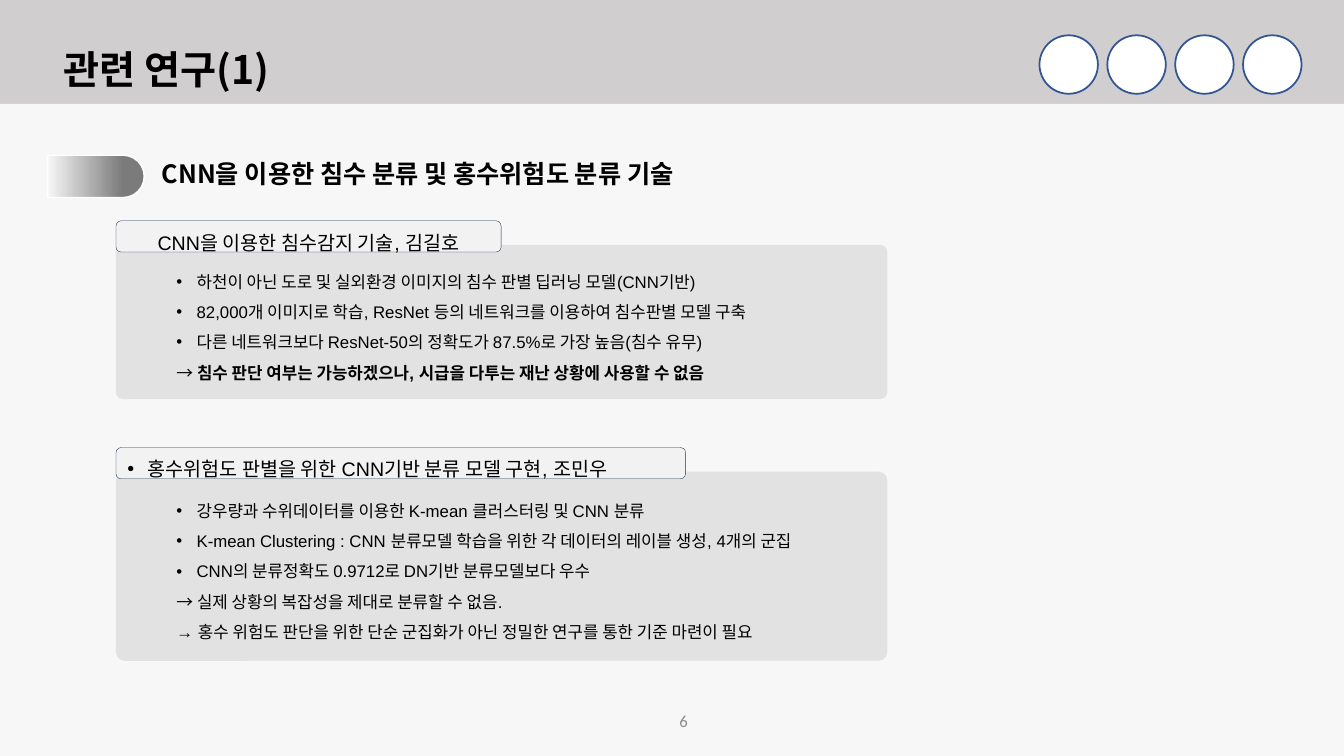
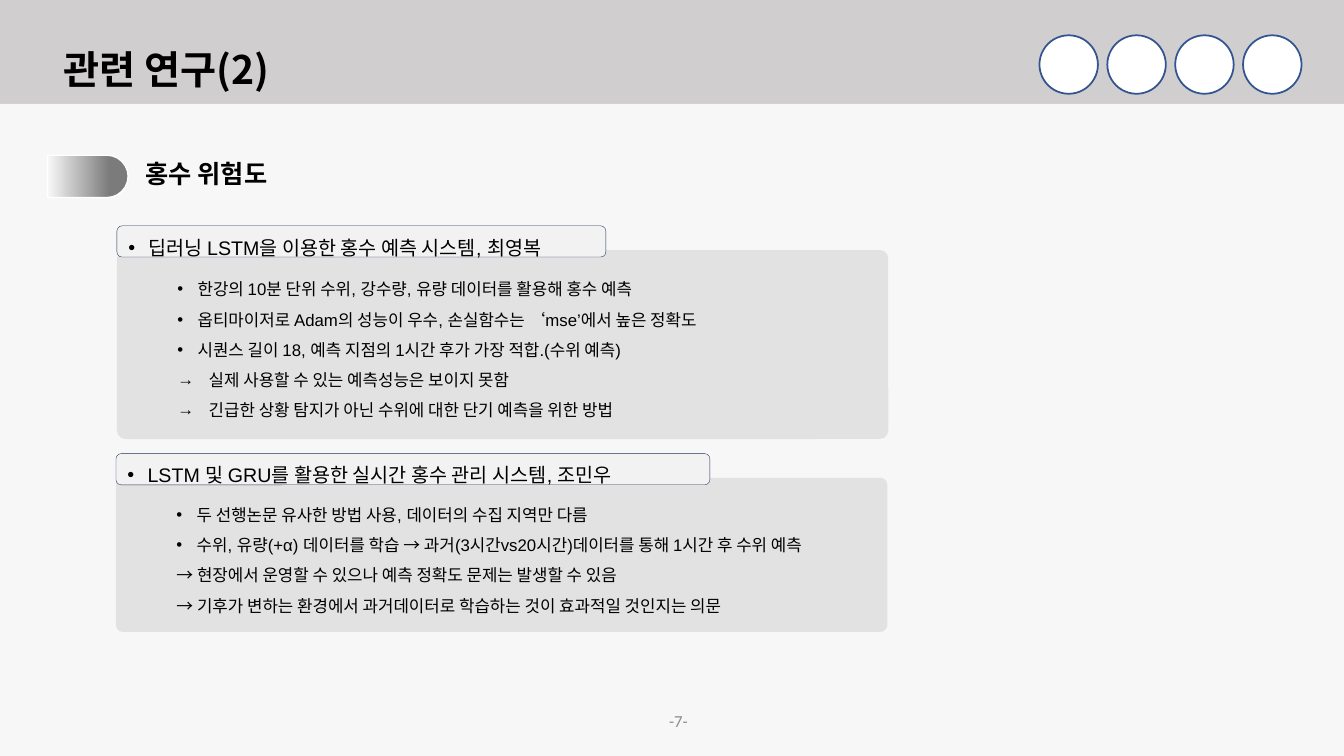
"""Build two slides on related flood-risk research."""
from dataclasses import dataclass

from lxml import etree
from pptx import Presentation, util as u
from pptx.dml.color import RGBColor
from pptx.enum import shapes as kinds, text as txt
from pptx.oxml.ns import qn

WIDE, HIGH = u.Inches(13.33), u.Inches(7.5)
INK, GRAY, WHITE, PALE = "000000", "D0CECE", "FFFFFF", "F2F2F2"
SANS, KOREAN = "Arial", "Noto Sans CJK KR"
FORM, ALIGN = kinds.MSO_SHAPE, txt.PP_ALIGN


@dataclass
class Line:
    """One paragraph with its bullet, indents in inches and bold ending."""
    text: str
    mark: str = "•"
    left: float = 0.7
    hang: float = 0.2
    bold: str = ""


@dataclass
class Card:
    """A tabbed panel, placed in percent of the slide."""
    top: float
    tab: float
    name: str
    lines: list
    left: float = 8.63
    mid: bool = False


@dataclass
class Page:
    """The content of one slide."""
    title: str
    head: str
    bar: float
    foot: str
    cards: list


def plain(text, bold=""):
    """Return a line without a bullet."""
    return Line(text, "", 0.5, 0, bold)


def arrow(text):
    """Return a line with an arrow bullet."""
    return Line(text, "→", 0.81, 0.31)


PAGES = [
    Page("관련 연구(1)", "CNN을 이용한 침수 분류 및 홍수위험도 분류 기술", 7.2, "6", [
        Card(32.4, 28.66, "CNN을 이용한 침수감지 기술, 김길호", [
            Line("하천이 아닌 도로 및 실외환경 이미지의 침수 판별 딥러닝 모델(CNN기반)"),
            Line("82,000개 이미지로 학습, ResNet 등의 네트워크를 이용하여 침수판별 모델 구축"),
            Line("다른 네트워크보다 ResNet-50의 정확도가 87.5%로 가장 높음(침수 유무)"),
            plain("→ ", "침수 판단 여부는 가능하겠으나, 시급을 다투는 재난 상황에 사용할 수 없음"),
        ], mid=True),
        Card(62.4, 42.39, "홍수위험도 판별을 위한 CNN기반 분류 모델 구현, 조민우", [
            Line("강우량과 수위데이터를 이용한 K-mean 클러스터링 및 CNN 분류"),
            Line("K-mean Clustering : CNN 분류모델 학습을 위한 각 데이터의 레이블 생성, 4개의 군집"),
            Line("CNN의 분류정확도 0.9712로 DN기반 분류모델보다 우수"),
            plain("→ 실제 상황의 복잡성을 제대로 분류할 수 없음. \n"
                  "→ 홍수 위험도 판단을 위한 단순 군집화가 아닌 정밀한 연구를 통한 기준 마련이 필요"),
        ]),
    ]),
    Page("관련 연구(2)", "홍수 위험도", 6, "-7-", [
        Card(33.07, 36.38, "딥러닝 LSTM을 이용한 홍수 예측 시스템, 최영복", [
            Line("한강의 10분 단위 수위, 강수량, 유량 데이터를 활용해 홍수 예측"),
            Line("옵티마이저로 Adam의 성능이 우수, 손실함수는 ‘mse’에서 높은 정확도"),
            Line("시퀀스 길이 18, 예측 지점의 1시간 후가 가장 적합.(수위 예측)"),
            arrow("실제 사용할 수 있는 예측성능은 보이지 못함"),
            arrow("긴급한 상황 탐지가 아닌 수위에 대한 단기 예측을 위한 방법"),
        ], left=8.7),
        Card(63.2, 44.19, "LSTM 및 GRU를 활용한 실시간 홍수 관리 시스템, 조민우", [
            Line("두 선행논문 유사한 방법 사용, 데이터의 수집 지역만 다름"),
            Line("수위, 유량(+α) 데이터를 학습 → 과거(3시간vs20시간)데이터를 통해 1시간 후 수위 예측"),
            plain("→ 현장에서 운영할 수 있으나 예측 정확도 문제는 발생할 수 있음\n"
                  "→ 기후가 변하는 환경에서 과거데이터로 학습하는 것이 효과적일 것인지는 의문"),
        ]),
    ]),
]


def box(x: float, y: float, w: float, h: float) -> list:
    """Turn percent of the slide into lengths."""
    return [u.Emu(round(part * full / 100))
            for part, full in zip((x, y, w, h), (WIDE, HIGH, WIDE, HIGH))]


def place(shape, area: list) -> None:
    """Move and size a shape."""
    shape.left, shape.top, shape.width, shape.height = area


def tint(color, code: str) -> None:
    """Set a colour from a hex string."""
    color.rgb = RGBColor.from_string(code)


def draw(slide, form, area: list, fill: str, alpha: int = 100, line: str = "", width: float = 1):
    """Add a flat shape with a fill and an optional outline."""
    shape = slide.shapes.add_shape(form, *area)
    shape.shadow.inherit = False
    shape.fill.solid()
    tint(shape.fill.fore_color, fill)
    if alpha < 100:
        node = shape._element.spPr.find(".//" + qn("a:srgbClr"))
        etree.SubElement(node, qn("a:alpha"), val=str(alpha * 1000))
    if line:
        tint(shape.line.color, line)
        shape.line.width = u.Pt(width)
    else:
        shape.line.fill.background()
    return shape


def put(shape, *lines: Line, size: float, font: str = SANS, color: str = INK, bold: bool = False,
        align=ALIGN.LEFT, gap: float = 1, anchor=txt.MSO_ANCHOR.MIDDLE, inset: bool = True) -> None:
    """Write formatted lines into a shape."""
    frame = shape.text_frame
    frame.word_wrap = True
    frame.auto_size = txt.MSO_AUTO_SIZE.NONE
    frame.vertical_anchor = anchor
    if not inset:
        frame.margin_left = frame.margin_right = frame.margin_top = frame.margin_bottom = 0
    for i, line in enumerate(lines):
        para = frame.add_paragraph() if i else frame.paragraphs[0]
        para.text = line.text
        props = para._p.get_or_add_pPr()
        props.set("marL", str(u.Inches(line.left)))
        props.set("indent", str(-u.Inches(line.hang)))
        if line.mark:
            etree.SubElement(props, qn("a:buFont"), typeface=SANS)
            etree.SubElement(props, qn("a:buChar"), char=line.mark)
        else:
            etree.SubElement(props, qn("a:buNone"))
        para.alignment, para.line_spacing, para.space_before = align, gap, u.Pt(0)
        if line.bold:
            para.add_run().text = line.bold
        for run in para.runs:
            face = run.font
            face.size, face.name = u.Pt(size), font
            face.bold = bold or bool(line.bold) and run.text == line.bold
            tint(face.color, color)
            face._element.find(qn("a:latin")).addnext(
                etree.Element(qn("a:ea"), typeface=KOREAN))


def label(slide, area: list, text: str, **style) -> None:
    """Add a text box with one line."""
    put(slide.shapes.add_textbox(*area), Line(text, "", 0, 0), **style)


def frame(deck, layout) -> None:
    """Set the shared background, title place, circles and band."""
    back = deck.slide_master.background.fill
    back.solid()
    tint(back.fore_color, GRAY)
    for spare in list(layout.placeholders)[3:]:
        spare._element.getparent().remove(spare._element)
    place(layout.placeholders[0], box(3.98, 5.33, 67.37, 8.4))


def share(slide, layout) -> None:
    """Draw the shared shapes and hand them to the layout."""
    parts = [draw(slide, FORM.OVAL, box(77.34 + 5.05 * i, 4.67, 4.35, 7.73),
                  WHITE, line="325491", width=1.25) for i in range(4)]
    parts.append(draw(slide, FORM.RECTANGLE, box(0, 13.73, 100, 86.27), WHITE, 85))
    for i, part in enumerate(parts):
        layout.shapes._spTree.insert(2 + i, part._element)


def badge(slide, wide: float) -> None:
    """Draw the faded bar beside the heading."""
    bar = draw(slide, FORM.ROUND_2_SAME_RECTANGLE, box(3.53, 20.53, wide, 5.6), GRAY, line=WHITE)
    long, thin = bar.width, bar.height
    shift = (long - thin) // 2
    place(bar, [bar.left + shift, bar.top - shift, thin, long])
    bar.rotation = 90
    bar.adjustments[0], bar.adjustments[1] = 0.5, 0
    bar.fill.gradient()
    bar.fill.gradient_angle = 270
    for stop, spot, code in zip(bar.fill.gradient_stops, (0.22, 1), ("7B7B7B", "F7F7F7")):
        stop.position = spot
        tint(stop.color, code)


def panel(slide, card: Card, body) -> None:
    """Draw one card around a body placeholder."""
    rows = sum(line.text.count("\n") + 1 for line in card.lines)
    area = box(card.left, card.top, 57.39, 4.6 * rows + 2)
    base = draw(slide, FORM.ROUNDED_RECTANGLE, area, GRAY, 50)
    base.adjustments[0] = 0.045
    place(body, area)
    put(body, *card.lines, size=12, gap=1.5)
    base._element.addnext(body._element)
    tab = draw(slide, FORM.ROUNDED_RECTANGLE, box(card.left, card.top - 3.2, card.tab, 4.13),
               PALE, line="1E3256", width=0.25)
    name = Line(card.name, "", 0, 0) if card.mid else Line(card.name, left=0.2)
    put(tab, name, size=14, gap=1.5, align=ALIGN.CENTER if card.mid else ALIGN.LEFT)


def build(slide, page: Page) -> None:
    """Fill one slide."""
    title, *bodies = slide.placeholders
    put(title, Line(page.title, "", 0, 0), size=28, font=KOREAN, bold=True, gap=0.9)
    badge(slide, page.bar)
    label(slide, box(4.83 + page.bar, 20.93, 44.64, 4), page.head, size=18, font=KOREAN,
          bold=True, anchor=txt.MSO_ANCHOR.TOP, inset=False)
    for card, body in zip(page.cards, bodies):
        panel(slide, card, body)
    label(slide, box(46.89, 92.67, 5.03, 5.33), page.foot, size=12, font="Calibri",
          color="8C8C8C", align=ALIGN.RIGHT)


def main() -> None:
    """Make and save the deck."""
    deck = Presentation()
    deck.slide_width, deck.slide_height = WIDE, HIGH
    layout = deck.slide_layouts[3]
    frame(deck, layout)
    for i, page in enumerate(PAGES):
        slide = deck.slides.add_slide(layout)
        if not i:
            share(slide, layout)
        build(slide, page)
    deck.save("out.pptx")


if __name__ == "__main__":
    main()
